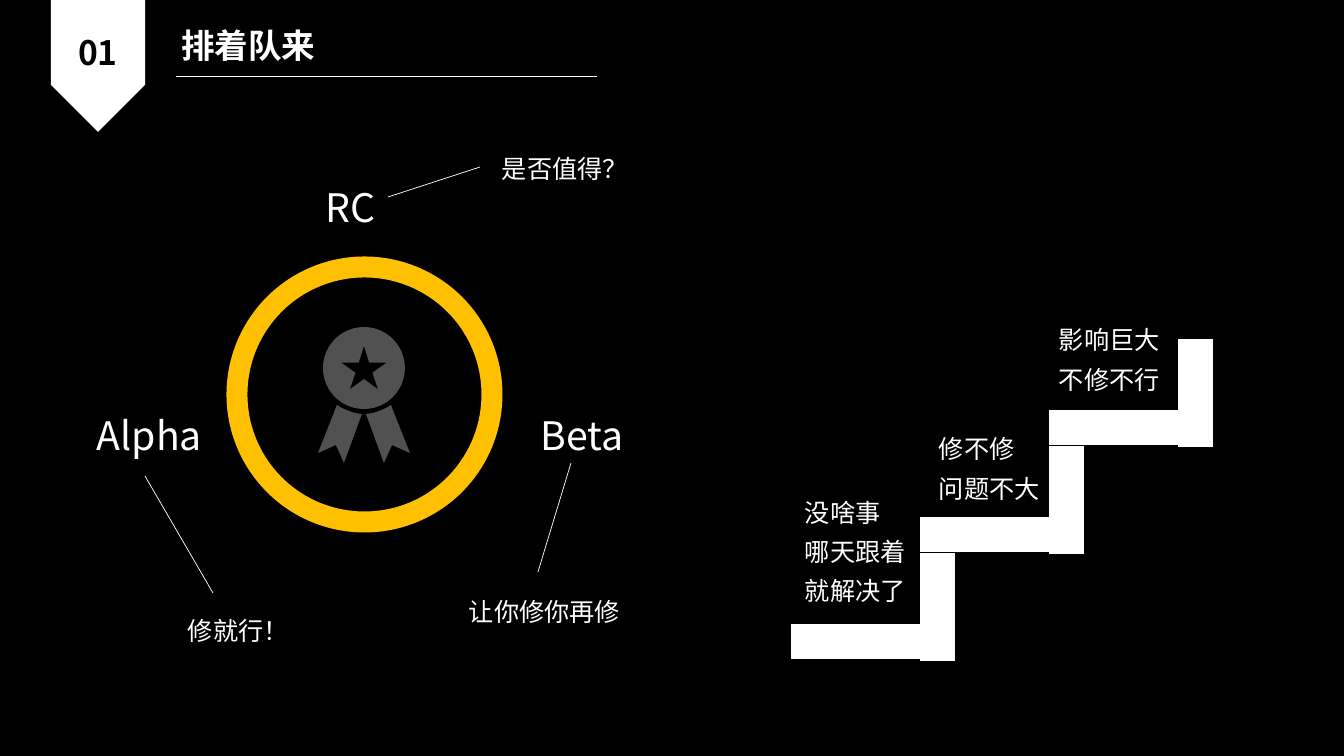
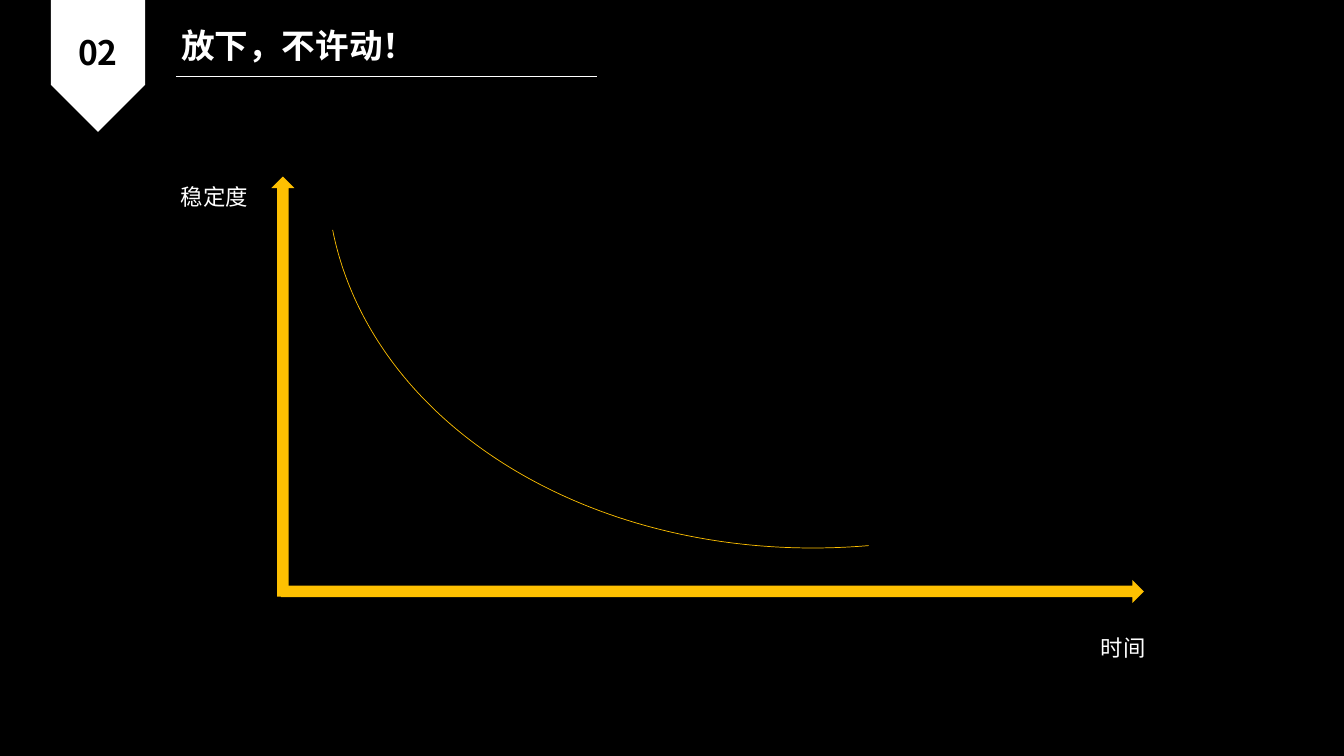
from dataclasses import dataclass
from math import cos, pi, sin

from lxml.etree import SubElement
from pptx import Presentation
from pptx.dml.color import RGBColor
from pptx.enum.shapes import MSO_CONNECTOR, MSO_SHAPE
from pptx.enum.text import MSO_ANCHOR, MSO_AUTO_SIZE, PP_ALIGN
from pptx.oxml.ns import qn
from pptx.util import Emu, Pt

COLOURS = {
    "black": "000000",
    "white": "FFFFFF",
    "gold": "FEC001",
    "grey": "515151",
}
FONT = "Noto Sans CJK SC"
EMU_PER_PX = 914400 / 100.8
Point = tuple[float, float]


@dataclass(frozen=True)
class Box:
    left: int
    top: int
    width: int
    height: int


@dataclass(frozen=True)
class Label:
    box: Box
    lines: tuple[str, ...]
    size: int


@dataclass(frozen=True)
class Line:
    start: Point
    end: Point
    width: float = 0.5


SLIDE = Box(0, 0, 1344, 756)
TITLE = Box(171, 27, 500, 42)
NUMBER = Box(64, 32, 68, 46)
HEADINGS = ("排着队来", "放下，不许动！")

STAGE_LABELS = (
    Label(Box(316, 167, 73, 66), ("RC",), 28),
    Label(Box(87, 395, 130, 66), ("Alpha",), 28),
    Label(Box(531, 395, 104, 66), ("Beta",), 28),
    Label(Box(492, 141, 147, 46), ("是否值得？",), 18),
    Label(Box(178, 603, 122, 46), ("修就行！",), 18),
    Label(Box(459, 584, 173, 46), ("让你修你再修",), 18),
)
STAGE_LINES = (
    Line((388, 197), (480, 167)),
    Line((145, 476), (213, 593)),
    Line((571, 463), (538, 572)),
)
STEP_LABELS = (
    Label(Box(795, 476, 122, 142), ("没啥事", "哪天跟着", "就解决了"), 18),
    Label(Box(929, 417, 122, 94), ("修不修", "问题不大"), 18),
    Label(Box(1049, 308, 122, 94), ("影响巨大", "不修不行"), 18),
)
AXIS_LABELS = (
    Label(Box(1091, 623, 66, 42), ("时间",), 16),
    Label(Box(171, 172, 89, 42), ("稳定度",), 16),
)


def px(value: float) -> Emu:
    return Emu(round(value * EMU_PER_PX))


def colour(name: str) -> RGBColor:
    return RGBColor.from_string(COLOURS[name])


def place(shape, box: Box) -> None:
    shape.left, shape.top = px(box.left), px(box.top)
    shape.width, shape.height = px(box.width), px(box.height)


# Text

def write(para, text: str, size: int, tint: str = "white",
          bold: bool = False, spacing: float = 1.3) -> None:
    para.line_spacing = spacing
    para.space_before = Pt(0)
    span = para.add_run()
    span.text = text
    span.font.size = Pt(size)
    span.font.bold = bold
    span.font.color.rgb = colour(tint)
    span.font.name = FONT
    SubElement(span.font._element, qn("a:ea"), typeface=FONT)


def add_label(page, label: Label) -> None:
    box = page.shapes.add_textbox(0, 0, 0, 0)
    place(box, label.box)
    frame = box.text_frame
    frame.word_wrap = False
    frame.auto_size = MSO_AUTO_SIZE.SHAPE_TO_FIT_TEXT
    frame.vertical_anchor = MSO_ANCHOR.MIDDLE
    for index, text in enumerate(label.lines):
        para = frame.add_paragraph() if index else frame.paragraphs[0]
        write(para, text, label.size)


def fill_placeholder(holder, text: str, tint: str, align: PP_ALIGN) -> None:
    frame = holder.text_frame
    frame.auto_size = MSO_AUTO_SIZE.NONE
    frame.vertical_anchor = MSO_ANCHOR.MIDDLE
    para = frame.paragraphs[0]
    properties = para._p.get_or_add_pPr()
    properties.set("marL", "0")
    properties.set("indent", "0")
    SubElement(properties, qn("a:buNone"))
    para.alignment = align
    write(para, text, 24, tint, bold=True, spacing=0.9)


# Shapes and lines

def style(shape, fill: str) -> None:
    shape.shadow.inherit = False
    shape.fill.solid()
    shape.fill.fore_color.rgb = colour(fill)
    shape.line.fill.background()


def add_shape(page, kind: MSO_SHAPE, box: Box, fill: str, rotation: float = 0):
    shape = page.shapes.add_shape(kind, 0, 0, 0, 0)
    place(shape, box)
    shape.rotation = rotation
    style(shape, fill)
    return shape


def outline(shape, width: float) -> None:
    shape.line.color.rgb = colour("gold")
    shape.line.width = Pt(width)


def add_line(page, line: Line):
    connector = page.shapes.add_connector(
        MSO_CONNECTOR.STRAIGHT, *map(px, line.start + line.end))
    connector.line.color.rgb = colour("white")
    connector.line.width = Pt(line.width)
    SubElement(connector.element.spPr, qn("a:effectLst"))
    return connector


# Shared layout: background, number tag, title rule, placeholders

def prepare_layout(layout) -> None:
    layout.background.fill.solid()
    layout.background.fill.fore_color.rgb = colour("black")
    for holder in layout.placeholders:
        if holder.placeholder_format.idx < 2:
            place(holder, (TITLE, NUMBER)[holder.placeholder_format.idx])


def add_header_band(page, layout) -> None:
    tag = add_shape(page, MSO_SHAPE.PENTAGON, Box(32, 19, 132, 94), "white", 90)
    rule = add_line(page, Line((176, 76), (597, 76)))
    for part in (tag, rule):
        layout.shapes.element.append(part.element)


# Slide 1: release ring and staircase

def ring_points(centre: Point, radii: tuple[int, ...], count: int) -> list[Point]:
    """Points clockwise from the top, cycling through the radii."""
    points = []
    for index in range(count):
        angle, radius = 2 * pi * index / count, radii[index % len(radii)]
        points.append((centre[0] + radius * sin(angle),
                       centre[1] - radius * cos(angle)))
    return points


def add_medal(page, axis: int) -> None:
    ribbon = [(-2, 414), (-20, 463), (-28, 445), (-46, 453),
              (-27, 405), (-22, 408), (-15, 411), (-9, 413)]
    contours = [[(axis + side * x, y) for x, y in ribbon] for side in (1, -1)]
    contours.append(ring_points((axis, 368), (41,), 48))
    contours.append(ring_points((axis, 370), (24, 9), 10))
    builder = None
    for contour in contours:
        first, *rest = [(px(x), px(y)) for x, y in contour]
        if builder is None:
            builder = page.shapes.build_freeform(*first)
        else:
            builder.move_to(*first)
        builder.add_line_segments(rest, close=True)
    style(builder.convert_to_shape(), "grey")


def add_staircase(page) -> None:
    for step in range(3):
        x, y = 938 + 129 * step, 642 - 107 * step
        add_line(page, Line((x - 147, y), (x, y), 25))
        add_line(page, Line((x, y + 19), (x, y - 89), 25))


def draw_queue(page) -> None:
    add_staircase(page)
    ring = add_shape(page, MSO_SHAPE.OVAL, Box(237, 267, 255, 255), "black")
    outline(ring, 15)
    add_medal(page, 364)
    for line in STAGE_LINES:
        add_line(page, line)
    for label in STAGE_LABELS + STEP_LABELS:
        add_label(page, label)


# Slide 2: stability falling over time

def draw_stability(page) -> None:
    add_shape(page, MSO_SHAPE.RIGHT_ARROW, Box(281, 580, 863, 23), "gold")
    add_shape(page, MSO_SHAPE.RIGHT_ARROW, Box(73, 375, 420, 23), "gold", 270)
    for label in AXIS_LABELS:
        add_label(page, label)
    curve = add_shape(page, MSO_SHAPE.ARC, Box(326, -241, 1018, 788), "gold", 175.1)
    curve.fill.background()
    curve.adjustments[0] = 162
    curve.adjustments[1] = 213.72
    outline(curve, 0.5)


def main() -> None:
    deck = Presentation()
    deck.slide_width, deck.slide_height = px(SLIDE.width), px(SLIDE.height)
    layout = deck.slide_layouts[1]
    prepare_layout(layout)
    pages = [deck.slides.add_slide(layout) for _ in HEADINGS]
    add_header_band(pages[0], layout)
    for number, (page, heading) in enumerate(zip(pages, HEADINGS), start=1):
        fill_placeholder(page.shapes.title, heading, "white", PP_ALIGN.LEFT)
        fill_placeholder(page.placeholders[1], f"{number:02}", "black",
                         PP_ALIGN.CENTER)
    draw_queue(pages[0])
    draw_stability(pages[1])
    deck.save("out.pptx")


if __name__ == "__main__":
    main()
